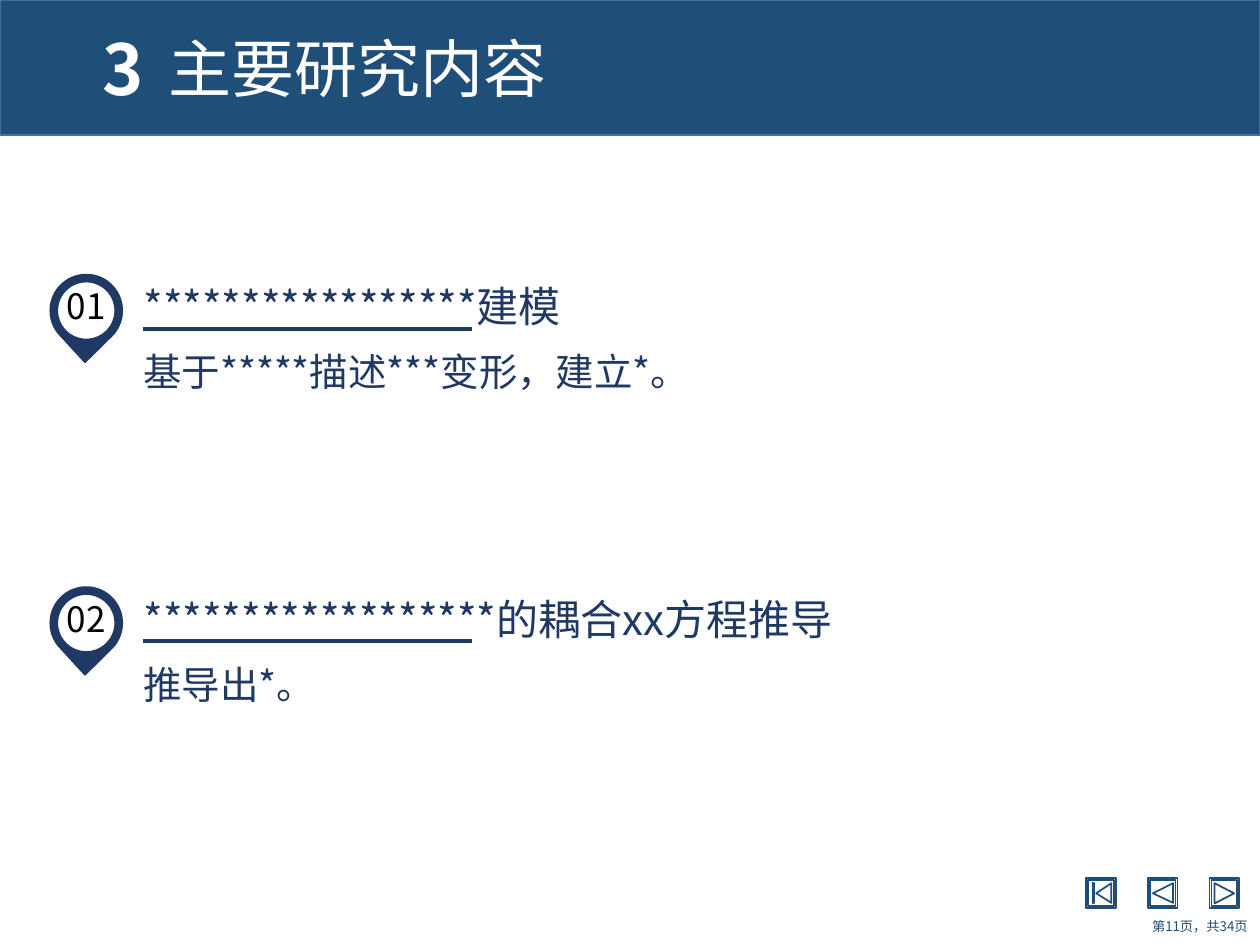
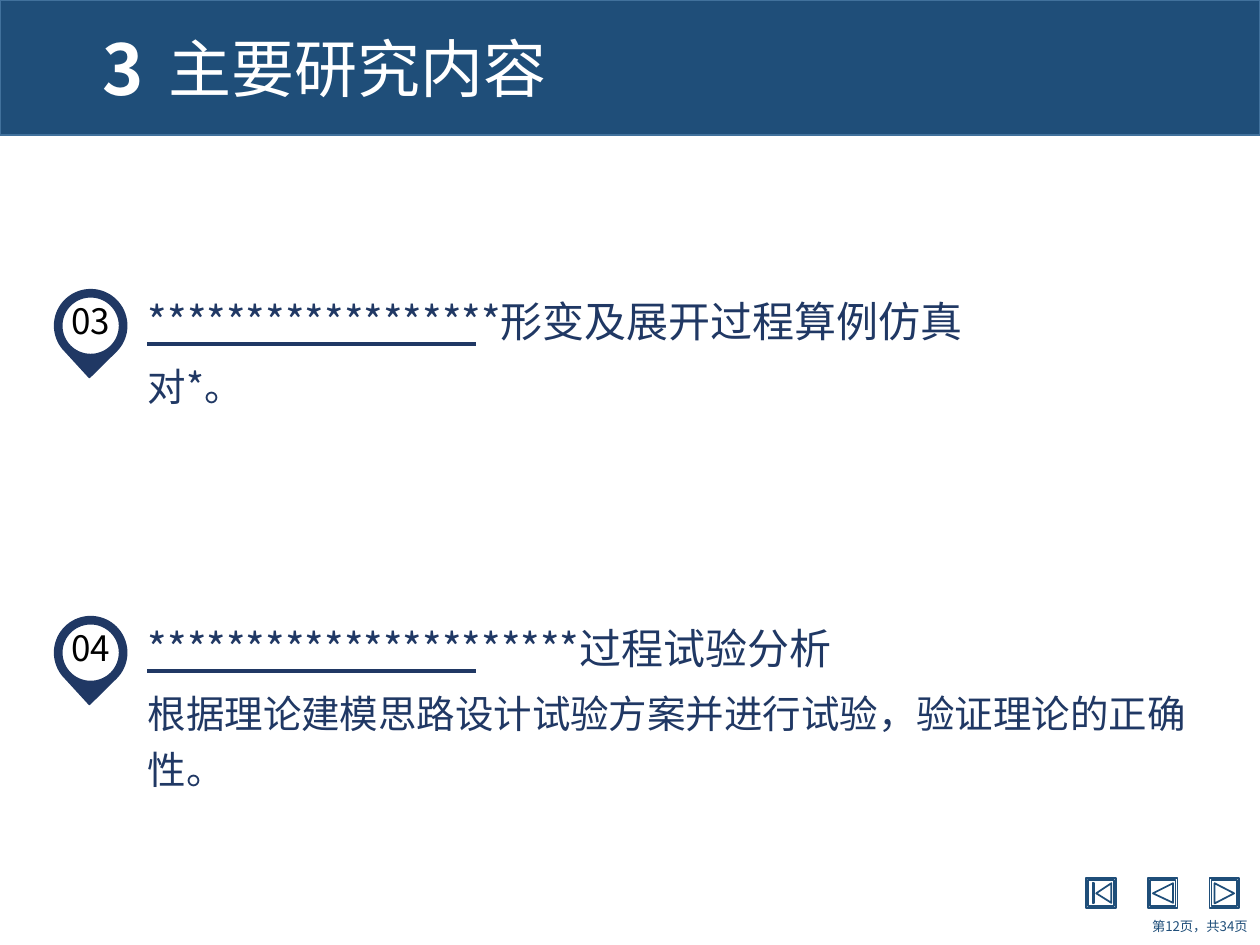
from math import cos, radians, sin

from lxml import etree
from pptx import Presentation
from pptx import util as u
from pptx.dml.color import RGBColor
from pptx.enum import shapes, text
from pptx.oxml.ns import qn

FONT = "Noto Sans CJK SC"
BAND, BAND_EDGE, NAVY, WHITE, BLACK = "1F4E79", "41719C", "203864", "FFFFFF", "000000"
COLUMNS, ROWS = 100, 75
BAND_ROWS = 10.7
PAGE_COUNT = 34
LEFT, CENTER, RIGHT = text.PP_ALIGN.LEFT, text.PP_ALIGN.CENTER, text.PP_ALIGN.RIGHT
TOP, MIDDLE = text.MSO_ANCHOR.TOP, text.MSO_ANCHOR.MIDDLE

BUTTON = 2.35
BUTTON_LEFT, BUTTON_TOP, BUTTON_STEP = 86.2, 69.7, 4.9
BUTTON_SIGNS = [
    [[(0.8, 1.2), (2, 0.4), (2, 1.95)], [(0.5, 0.4), (0.6, 0.4), (0.6, 1.95), (0.5, 1.95)]],
    [[(0.4, 1.2), (2, 0.4), (2, 1.95)]],
    [[(0.4, 0.4), (1.95, 1.2), (0.4, 2)]],
]
PIN_RADIUS, HOLE_RADIUS, PIN_HEIGHT = 2.85, 2.3, 6.95

# Each slide: page number, left column of the pins, then (row, number, heading, detail).
PAGES = [
    (11, 4, [
        (21.8, "01", "*****************建模", "基于*****描述***变形，建立*。"),
        (46.6, "02", "******************的耦合xx方程推导", "推导出*。"),
    ]),
    (12, 4.35, [
        (23, "03", "******************形变及展开过程算例仿真", "对*。"),
        (48.95, "04", "**********************过程试验分析",
         "根据理论建模思路设计试验方案并进行试验，验证理论的正确性。"),
    ]),
]


def color(value):
    return RGBColor.from_string(value)


def square(inset):
    far = BUTTON - inset
    return [(inset, inset), (far, inset), (far, far), (inset, far)]


def arc(radius, start, end, step=5):
    """Points around the centre of the pin's head, angles in degrees."""
    turn = step if end > start else -step
    return [(PIN_RADIUS + radius * cos(radians(angle)), PIN_RADIUS + radius * sin(radians(angle)))
            for angle in range(start, end + turn, turn)]


class Deck:
    """Holds the style and the current slide; lengths are grid columns and rows."""

    def __init__(self):
        self.presentation = Presentation()
        self.presentation.slide_width = u.Inches(10)
        self.presentation.slide_height = u.Inches(7.5)
        self.column = self.presentation.slide_width / COLUMNS
        self.row = self.presentation.slide_height / ROWS
        self.slide = None

    def box(self, left, top, width, height):
        return [round(left * self.column), round(top * self.row),
                round(width * self.column), round(height * self.row)]

    def set_text(self, shape, words, size, ink, align=LEFT, anchor=TOP, bold=False, spacing=1.0):
        frame = shape.text_frame
        frame.word_wrap = True
        frame.auto_size = text.MSO_AUTO_SIZE.NONE
        frame.vertical_anchor = anchor
        frame.text = words
        paragraph = frame.paragraphs[0]
        paragraph.alignment = align
        paragraph.line_spacing = spacing
        font = paragraph.font
        font.size, font.bold, font.name = u.Pt(size), bold, FONT
        font.color.rgb = color(ink)
        etree.SubElement(font._element, qn("a:ea"), typeface=FONT)

    def label(self, place, words, size, ink, **style):
        self.set_text(self.slide.shapes.add_textbox(*self.box(*place)), words, size, ink, **style)

    def paint(self, shape, fill, line):
        shape.shadow.inherit = False
        if fill:
            shape.fill.solid()
            shape.fill.fore_color.rgb = color(fill)
        else:
            shape.fill.background()
        shape.line.color.rgb = color(line)
        shape.line.width = u.Pt(1)

    def outline(self, left, top, contours, fill, line):
        """One freeform of closed contours, placed relative to left and top."""
        placed = [[self.box(left + x, top + y, 0, 0)[:2] for x, y in contour]
                  for contour in contours]
        builder = self.slide.shapes.build_freeform(*placed[0][0])
        for index, points in enumerate(placed):
            if index:
                builder.move_to(*points[0])
            builder.add_line_segments(points[1:], close=True)
        shape = builder.convert_to_shape()
        self.paint(shape, fill, line)
        return shape

    def rule(self, left, top, width):
        x, y, length, _ = self.box(left, top, width, 0)
        line = self.slide.shapes.add_connector(shapes.MSO_CONNECTOR.STRAIGHT, x, y, x + length, y)
        line.line.color.rgb = color(NAVY)
        line.line.width = u.Pt(2.25)
        etree.SubElement(line._element.spPr, qn("a:effectLst"))

    def add_slide(self, number, title, page):
        self.slide = self.presentation.slides.add_slide(self.presentation.slide_layouts[5])
        slide_shapes = self.slide.shapes
        heading = slide_shapes.title
        band = slide_shapes.add_shape(shapes.MSO_SHAPE.RECTANGLE,
                                      *self.box(0, 0, COLUMNS, BAND_ROWS))
        self.paint(band, BAND, BAND_EDGE)
        heading._element.addprevious(band._element)
        heading.left, heading.top, heading.width, heading.height = self.box(
            12.4, 0, 77.2, BAND_ROWS)
        self.set_text(heading, title, 36, WHITE, anchor=MIDDLE)
        self.label((0, 0, 12.4, BAND_ROWS), number, 40, WHITE,
                   align=RIGHT, anchor=MIDDLE, bold=True)
        for index, sign in enumerate(BUTTON_SIGNS):
            self.outline(BUTTON_LEFT + index * BUTTON_STEP, BUTTON_TOP,
                         [square(0), square(0.15), *sign], None, BAND)
        self.label((81.2, 72.3, 18.8, 2.7), f"第{page}页，共{PAGE_COUNT}页", 7.6, BAND,
                   align=RIGHT, anchor=MIDDLE, spacing=0.8)

    def pin(self, left, top, number):
        head = arc(PIN_RADIUS, 135, 405) + [(PIN_RADIUS - 0.1, PIN_HEIGHT)]
        shape = self.outline(left, top, [head, arc(HOLE_RADIUS, 360, 0)], NAVY, NAVY)
        frame = shape.text_frame
        frame.margin_left = frame.margin_right = u.Inches(0.12)
        frame.margin_top, frame.margin_bottom = 0, u.Inches(0.2)
        self.set_text(shape, number, 20, BLACK, align=CENTER, anchor=MIDDLE)

    def topic(self, left, top, number, heading, detail):
        self.pin(left, top, number)
        self.label((left + 6.4, top, 85.6, 5), heading, 24, NAVY)
        self.rule(left + 7.35, top + 4.3, 26.1)
        self.label((left + 6.4, top + 4.6, 85.6, 9.8), detail, 22, NAVY, spacing=1.2)


def main():
    deck = Deck()
    for page, left, topics in PAGES:
        deck.add_slide("3", "主要研究内容", page)
        for top, number, heading, detail in topics:
            deck.topic(left, top, number, heading, detail)
    deck.presentation.save("out.pptx")


if __name__ == "__main__":
    main()
